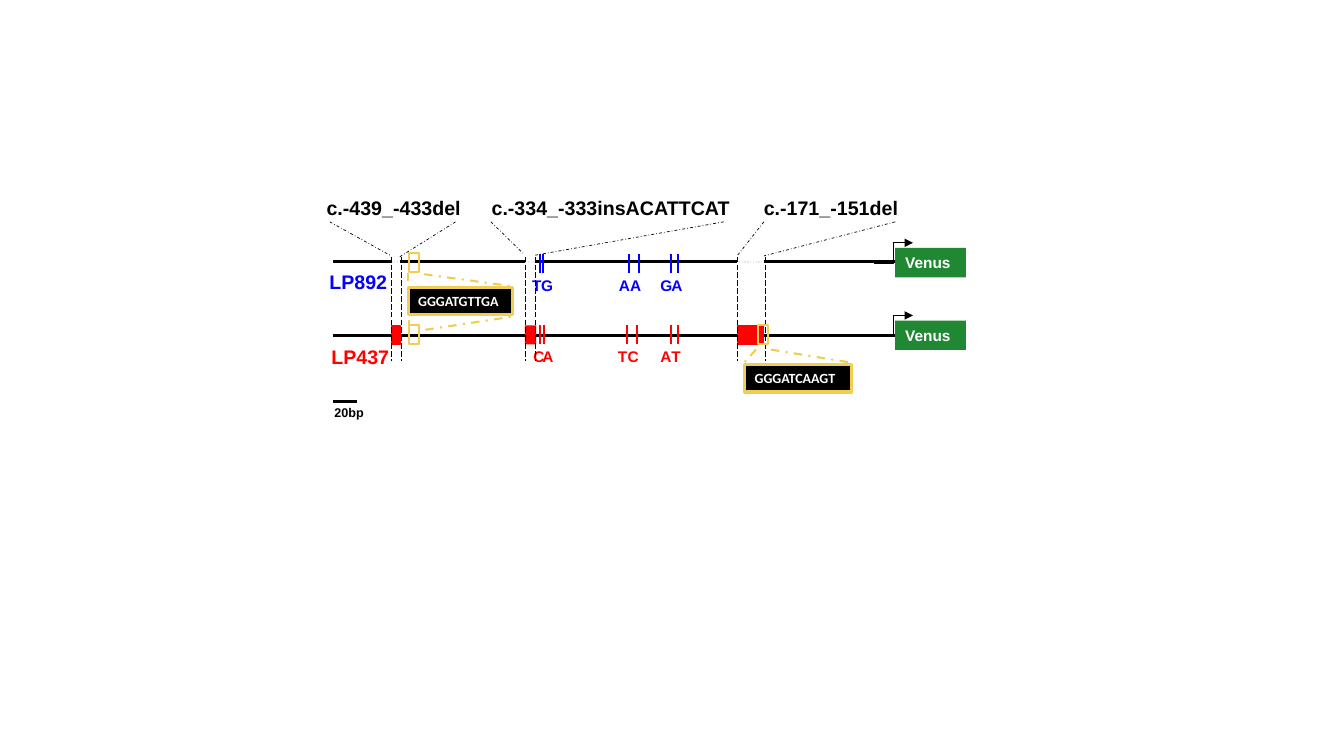
from lxml import etree
from pptx import Presentation
from pptx.dml.color import RGBColor
from pptx.enum.dml import MSO_LINE_DASH_STYLE as Dash
from pptx.enum.shapes import MSO_CONNECTOR as Connector, MSO_SHAPE as Shape
from pptx.enum.text import MSO_ANCHOR as Anchor, PP_ALIGN as Align
from pptx.oxml.ns import qn
from pptx.util import Cm, Pt

BLACK, WHITE, GREY = "000000", "FFFFFF", "E7E6E6"
BLUE, RED, LABEL_RED = "0600FF", "FF0100", "FF0000"
GREEN, GOLD, FRAME_GOLD = "208732", "F1CE52", "F0CE52"

TRACK_START, TRACK_END = 8.38, 22.56
UPPER_Y, LOWER_Y = 6.6, 8.46
UPPER_MARK_Y, LOWER_MARK_Y = 6.4, 8.2
MARK_HEIGHT = 0.48


def color(value):
    return RGBColor.from_string(value)


def add_line(slide, start, end, line_color, width, dash=None, kind=Connector.STRAIGHT):
    line = slide.shapes.add_connector(kind, *(Cm(value) for value in (*start, *end)))
    line.line.color.rgb = color(line_color)
    line.line.width = Pt(width)
    if dash:
        line.line.dash_style = dash
    etree.SubElement(line._element.spPr, qn("a:effectLst"))
    return line


def add_start_arrow(slide, start, end):
    arrow = add_line(slide, start, end, BLACK, 0.5, kind=Connector.ELBOW)
    etree.SubElement(arrow.line._get_or_add_ln(), qn("a:tailEnd"), type="triangle")


def add_box(slide, left, top, width, height, fill=None, outline=None, outline_width=1):
    box = slide.shapes.add_shape(Shape.RECTANGLE, Cm(left), Cm(top), Cm(width), Cm(height))
    box.shadow.inherit = False
    if fill:
        box.fill.solid()
        box.fill.fore_color.rgb = color(fill)
    else:
        box.fill.background()
    if outline:
        box.line.color.rgb = color(outline)
        box.line.width = Pt(outline_width)
    else:
        box.line.fill.background()
    return box


def write(shape, text, size, text_color, font="Arial", align=Align.LEFT):
    frame = shape.text_frame
    frame.vertical_anchor = Anchor.MIDDLE
    paragraph = frame.paragraphs[0]
    paragraph.alignment = align
    run = paragraph.add_run()
    run.text = text
    run.font.name = font
    run.font.size = Pt(size)
    run.font.bold = True
    run.font.color.rgb = color(text_color)


def add_label(slide, text, left, top, width, height, size, text_color):
    label = slide.shapes.add_textbox(Cm(left), Cm(top), Cm(width), Cm(height))
    label.text_frame.word_wrap = True
    write(label, text, size, text_color)


def add_base(slide, letter, left, top, text_color):
    base = slide.shapes.add_textbox(Cm(left), Cm(top), Cm(0.23), Cm(0.74))
    base.text_frame.word_wrap = False
    base.text_frame.margin_left = base.text_frame.margin_right = 0
    write(base, letter, 11, text_color, align=Align.CENTER)


def add_sequence(slide, text, left, top, width):
    box = add_box(slide, left, top, width, 0.69, BLACK, FRAME_GOLD, 2.25)
    write(box, text, 10, WHITE, "Calibri")


def add_reporter(slide, top):
    box = add_box(slide, TRACK_END, top, 1.78, 0.74, GREEN)
    write(box, "Venus", 11, WHITE)


def add_variants(slide, ticks, bases, tick_top, base_top, variant_color):
    for x in ticks:
        add_line(slide, (x, tick_top + MARK_HEIGHT), (x, tick_top), variant_color, 1.5)
    for letter, left in bases:
        add_base(slide, letter, left, base_top, variant_color)


def add_tracks(slide):
    for start, end in [(9.86, 10.13), (13.23, 13.61), (18.62, 19.25)]:
        add_line(slide, (start, UPPER_Y), (end, UPPER_Y), GREY, 1, Dash.ROUND_DOT)
    for start, end in [(TRACK_START, 9.88), (10.08, 13.23), (13.49, 18.57), (19.25, TRACK_END)]:
        add_line(slide, (start, UPPER_Y), (end, UPPER_Y), BLACK, 2.25)
    add_line(slide, (TRACK_START, LOWER_Y), (TRACK_END, LOWER_Y), BLACK, 2.25)
    add_start_arrow(slide, (22.02, 6.63), (23.01, 6.12))
    add_start_arrow(slide, (22.02, 8.43), (23.01, 7.95))
    for left, width, outline in [(9.88, 0.2, RED), (13.23, 0.28, None), (18.59, 0.66, RED)]:
        add_box(slide, left, LOWER_MARK_Y, width, MARK_HEIGHT, RED, outline)


def add_indels(slide):
    for text, left, width in [
        ("c.-439_-433del", 7.98, 4.52),
        ("c.-334_-333insACATTCAT", 12.14, 6.93),
        ("c.-171_-151del", 19, 5.79),
    ]:
        add_label(slide, text, left, 4.8, width, 0.86, 14, BLACK)
    for top_x, end in [
        (8.31, (9.86, 6.45)), (11.48, (10.06, 6.48)), (12.37, (13.18, 6.38)),
        (18.24, (13.49, 6.43)), (19.25, (18.59, 6.43)), (22.56, (19.25, 6.45)),
    ]:
        add_line(slide, (top_x, 5.59), end, BLACK, 0.5, Dash.DASH_DOT)
    for x in [9.87, 10.11, 13.23, 13.49, 18.57, 19.28]:
        add_line(slide, (x, 6.47), (x, 9.09), BLACK, 0.5, Dash.LONG_DASH)


def add_motifs(slide):
    for left, top in [(10.31, 6.38), (10.31, LOWER_MARK_Y), (19.1, LOWER_MARK_Y)]:
        add_box(slide, left, top, 0.25, MARK_HEIGHT, None, GOLD, 1.5)
    for start, end in [
        ((10.72, 8.31), (12.9, 7.98)), ((10.69, 6.91), (12.88, 7.21)),
        ((10.29, 7.09), (10.29, 6.78)), ((10.31, 8.28), (10.31, 7.98)),
        ((19.43, 8.81), (21.46, 9.14)), ((19.05, 8.81), (18.75, 9.14)),
    ]:
        add_line(slide, start, end, GOLD, 1.5, Dash.DASH_DOT)


def main():
    presentation = Presentation()
    presentation.slide_width = Cm(33.87)
    presentation.slide_height = Cm(19.05)
    slide = presentation.slides.add_slide(presentation.slide_layouts[6])

    add_sequence(slide, "GGGATGTTGA", 10.29, 7.24, 2.62)
    add_sequence(slide, "GGGATCAAGT", 18.77, 9.19, 2.69)
    add_tracks(slide)
    add_variants(
        slide, [13.61, 13.69, 15.85, 16.1, 16.92, 17.09],
        zip("TGAAGA", [13.41, 13.64, 15.6, 15.88, 16.64, 16.92]),
        UPPER_MARK_Y, 6.82, BLUE)
    add_variants(
        slide, [13.61, 13.72, 15.8, 16.05, 16.92, 17.09],
        zip("CATCAT", [13.44, 13.67, 15.57, 15.82, 16.64, 16.92]),
        LOWER_MARK_Y, 8.61, RED)
    add_indels(slide)
    add_reporter(slide, 6.25)
    add_reporter(slide, 8.08)
    add_label(slide, "LP892", 8.05, 6.68, 2.08, 0.86, 14, BLUE)
    add_label(slide, "LP437", 8.1, 8.56, 2.08, 0.86, 14, LABEL_RED)
    add_motifs(slide)
    add_line(slide, (TRACK_START, 10.11), (8.99, 10.11), BLACK, 2.25)
    add_label(slide, "20bp", 8.18, 10.08, 2.51, 0.64, 9, BLACK)

    presentation.save("out.pptx")


if __name__ == "__main__":
    main()
